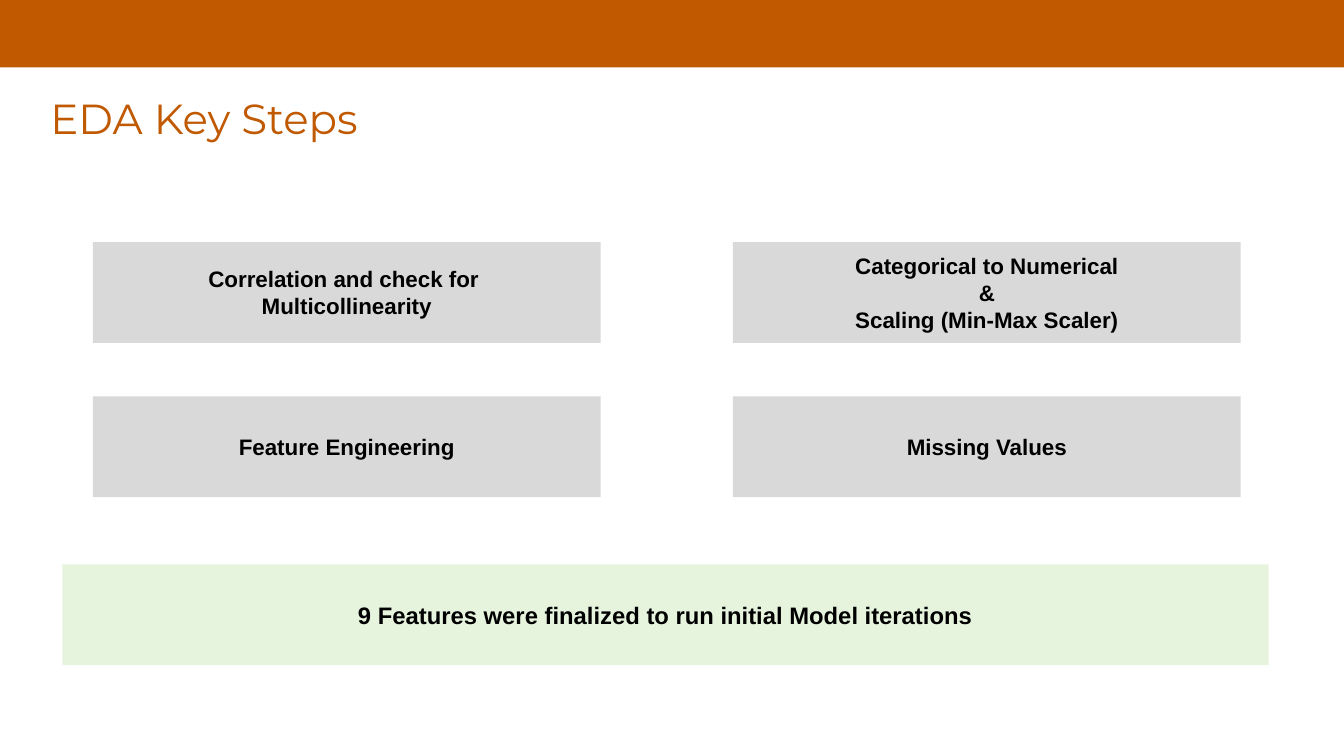
from dataclasses import dataclass

from pptx import Presentation
from pptx import util as u
from pptx.dml.color import RGBColor
from pptx.enum import shapes, text
from pptx.slide import Slide
from pptx.text.text import TextFrame

COLOURS = {
    "orange": "C05900",
    "grey": "D9D9D9",
    "green": "E6F4DE",
    "black": "000000",
}
SLIDE_WIDTH, SLIDE_HEIGHT = 33.87, 19.05

STEP_LEFT, STEP_TOP = 2.34, 6.1
STEP_WIDTH, PANEL_HEIGHT = 12.8, 2.54
COLUMN_PITCH, ROW_PITCH = 16.13, 3.89

# One inner list per row; "\n" starts a paragraph, "\v" breaks a line.
STEPS = [
    [
        "Correlation and check for \vMulticollinearity",
        "Categorical to Numerical\n&\vScaling (Min-Max Scaler)",
    ],
    ["Feature Engineering", "Missing Values"],
]


@dataclass
class Panel:
    """A filled rectangle, measured in centimetres."""

    left: float
    top: float
    width: float
    height: float
    fill: str
    words: str = ""
    size: float = 16


def style_text(frame: TextFrame, font: str, size: float, colour: str,
               bold: bool, align: text.PP_ALIGN) -> None:
    for para in frame.paragraphs:
        para.alignment = align
        for span in para.runs:
            span.font.name = font
            span.font.size = u.Pt(size)
            span.font.bold = bold
            span.font.color.rgb = RGBColor.from_string(COLOURS[colour])


def draw_panel(page: Slide, panel: Panel) -> None:
    box = page.shapes.add_shape(
        shapes.MSO_SHAPE.RECTANGLE, u.Cm(panel.left), u.Cm(panel.top),
        u.Cm(panel.width), u.Cm(panel.height))
    box.shadow.inherit = False
    box.fill.solid()
    box.fill.fore_color.rgb = RGBColor.from_string(COLOURS[panel.fill])
    box.line.fill.background()
    if not panel.words:
        return
    frame = box.text_frame
    frame.word_wrap = True
    frame.vertical_anchor = text.MSO_ANCHOR.MIDDLE
    frame.margin_left = frame.margin_right = u.Cm(0.25)
    frame.margin_top = frame.margin_bottom = u.Cm(0.25)
    frame.text = panel.words
    style_text(frame, "Arial", panel.size, "black", True, text.PP_ALIGN.CENTER)


def draw_title(page: Slide, words: str) -> None:
    box = page.shapes.add_textbox(u.Cm(1.02), u.Cm(2.36), u.Cm(32.21), u.Cm(1.68))
    frame = box.text_frame
    frame.word_wrap = True
    frame.text = words
    frame.paragraphs[0].line_spacing = 0.9
    style_text(frame, "Montserrat", 30, "orange", False, text.PP_ALIGN.LEFT)


def main() -> None:
    deck = Presentation()
    deck.slide_width, deck.slide_height = u.Cm(SLIDE_WIDTH), u.Cm(SLIDE_HEIGHT)
    page = deck.slides.add_slide(deck.slide_layouts[6])

    draw_panel(page, Panel(0, 0, SLIDE_WIDTH, 1.7, "orange"))
    draw_title(page, "EDA Key Steps")
    for row, steps in enumerate(STEPS):
        for column, words in enumerate(steps):
            draw_panel(page, Panel(
                STEP_LEFT + column * COLUMN_PITCH, STEP_TOP + row * ROW_PITCH,
                STEP_WIDTH, PANEL_HEIGHT, "grey", words))
    draw_panel(page, Panel(
        1.57, 14.22, 30.4, PANEL_HEIGHT, "green",
        "9 Features were finalized to run initial Model iterations", 17))

    deck.save("out.pptx")


if __name__ == "__main__":
    main()
